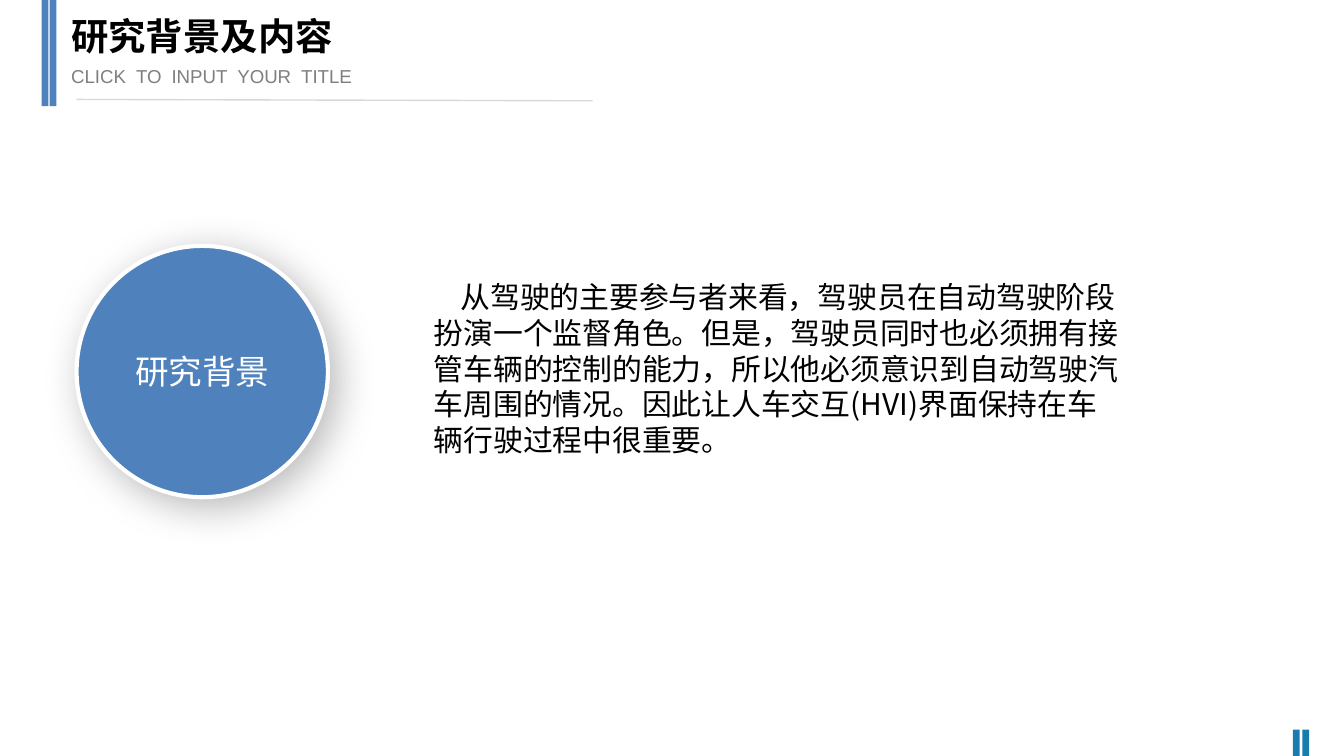
from lxml import etree
from pptx import Presentation
from pptx.dml.color import RGBColor
from pptx.enum.shapes import MSO_CONNECTOR, MSO_SHAPE
from pptx.enum.text import MSO_ANCHOR, MSO_AUTO_SIZE, PP_ALIGN
from pptx.oxml.ns import qn
from pptx.util import Inches, Pt

RECTANGLE, OVAL = MSO_SHAPE.RECTANGLE, MSO_SHAPE.OVAL
STRAIGHT = MSO_CONNECTOR.STRAIGHT
TOP, MIDDLE = MSO_ANCHOR.TOP, MSO_ANCHOR.MIDDLE
LEFT, CENTER = PP_ALIGN.LEFT, PP_ALIGN.CENTER
NO_AUTOFIT = MSO_AUTO_SIZE.NONE

# Content
TITLE = "研究背景及内容"
SUBTITLE = "CLICK TO INPUT YOUR TITLE"
TOPIC = "研究背景"
BODY = ("从驾驶的主要参与者来看，驾驶员在自动驾驶阶段扮演一个监督角色。"
        "但是，驾驶员同时也必须拥有接管车辆的控制的能力，"
        "所以他必须意识到自动驾驶汽车周围的情况。"
        "因此让人车交互(HVI)界面保持在车辆行驶过程中很重要。")

# Style and geometry: a 16:9 page
WIDTH = 10
HEIGHT = WIDTH * 9 / 16
BLUE, TEAL, WHITE, BLACK = "4F81BD", "1A7BAE", "FFFFFF", "000000"
GRAY, RULE_GRAY = "7F7F7F", "D8D8D8"
LATIN, CJK = "Arial", "Noto Sans CJK SC"
BAR_WIDTH = 0.05
BAR_PAIRS = [  # left, top, height, pitch, colour
    (0.31, 0, 0.79, 0.06, BLUE),
    (9.62, 5.43, 0.2, 0.07, TEAL),
]
CIRCLE = (0.57, 1.83, 1.87, 1.87)


def color(value):
    return RGBColor.from_string(value)


def place(shape, left, top, width, height):
    shape.left, shape.top = Inches(left), Inches(top)
    shape.width, shape.height = Inches(width), Inches(height)


def add_filled(kind, area, fill):
    shape = page.shapes.add_shape(kind, *map(Inches, area))
    shape.shadow.inherit = False
    shape.fill.solid()
    shape.fill.fore_color.rgb = color(fill)
    shape.line.fill.background()
    return shape


def style_span(span, size, ink, latin=LATIN, bold=False):
    span.font.size, span.font.bold = Pt(size), bold
    span.font.name, span.font.color.rgb = latin, color(ink)
    east_asian = etree.SubElement(span.font._element, qn("a:ea"))
    east_asian.set("typeface", CJK)


def write(shape, text, size, ink, anchor=TOP, align=LEFT, **style):
    frame = shape.text_frame
    frame.word_wrap, frame.auto_size = True, NO_AUTOFIT
    frame.vertical_anchor = anchor
    frame.text = text
    para = frame.paragraphs[0]
    para.alignment, para.space_before = align, Pt(0)
    for span in para.runs:
        style_span(span, size, ink, **style)
    return para


def set_indent(para, first_line=0):
    properties = para._p.get_or_add_pPr()
    properties.set("marL", "0")
    properties.set("indent", str(Inches(first_line)))
    etree.SubElement(properties, qn("a:buNone"))


deck = Presentation()
deck.slide_width, deck.slide_height = Inches(WIDTH), Inches(HEIGHT)
page = deck.slides.add_slide(deck.slide_layouts[1])

# Accent bars at the top left and bottom right
for left, top, height, pitch, fill in BAR_PAIRS:
    for index in range(2):
        add_filled(RECTANGLE, (left + index * pitch, top, BAR_WIDTH, height), fill)

# Heading, with a rule below
title = page.shapes.title
place(title, 0.43, 0.06, 4.04, 0.5)
write(title, TITLE, 20, BLACK, bold=True)
title.text_frame.margin_top = Inches(0.04)

subtitle = page.placeholders[1]
place(subtitle, 0.43, 0.43, 3.15, 0.27)
para = write(subtitle, "", 10, GRAY)
set_indent(para)
for index, word in enumerate(SUBTITLE.split()):
    if index:  # widened word space
        gap = para.add_run()
        gap.text = " "
        style_span(gap, 10, GRAY)
        gap.font._element.set("spc", "260")
    span = para.add_run()
    span.text = word
    style_span(span, 10, GRAY)

rule = page.shapes.add_connector(STRAIGHT, *map(Inches, (0.57, 0.74, 4.41, 0.75)))
rule.line.color.rgb, rule.line.width = color(RULE_GRAY), Pt(0.75)
etree.SubElement(rule._element.spPr, qn("a:effectLst"))

# Topic circle with a soft shadow
circle = add_filled(OVAL, CIRCLE, BLUE)
circle.line.color.rgb, circle.line.width = color(WHITE), Pt(2.25)
effects = circle._element.spPr.find(qn("a:effectLst"))
shadow = etree.SubElement(effects, qn("a:outerShdw"), blurRad=str(Pt(22)),
                          dist=str(Pt(6)), dir=str(45 * 60000), rotWithShape="0")
shade = etree.SubElement(shadow, qn("a:srgbClr"), val=BLACK)
etree.SubElement(shade, qn("a:alpha"), val="28000")
write(circle, TOPIC, 18, WHITE, anchor=MIDDLE, align=CENTER)

# Body text
box = page.shapes.add_textbox(*map(Inches, (3.13, 1.63, 5.33, 2.48)))
para = write(box, BODY, 16, BLACK, anchor=MIDDLE, latin=CJK)
set_indent(para, first_line=0.2)
box.text_frame.margin_bottom = Inches(0.31)

deck.save("out.pptx")
